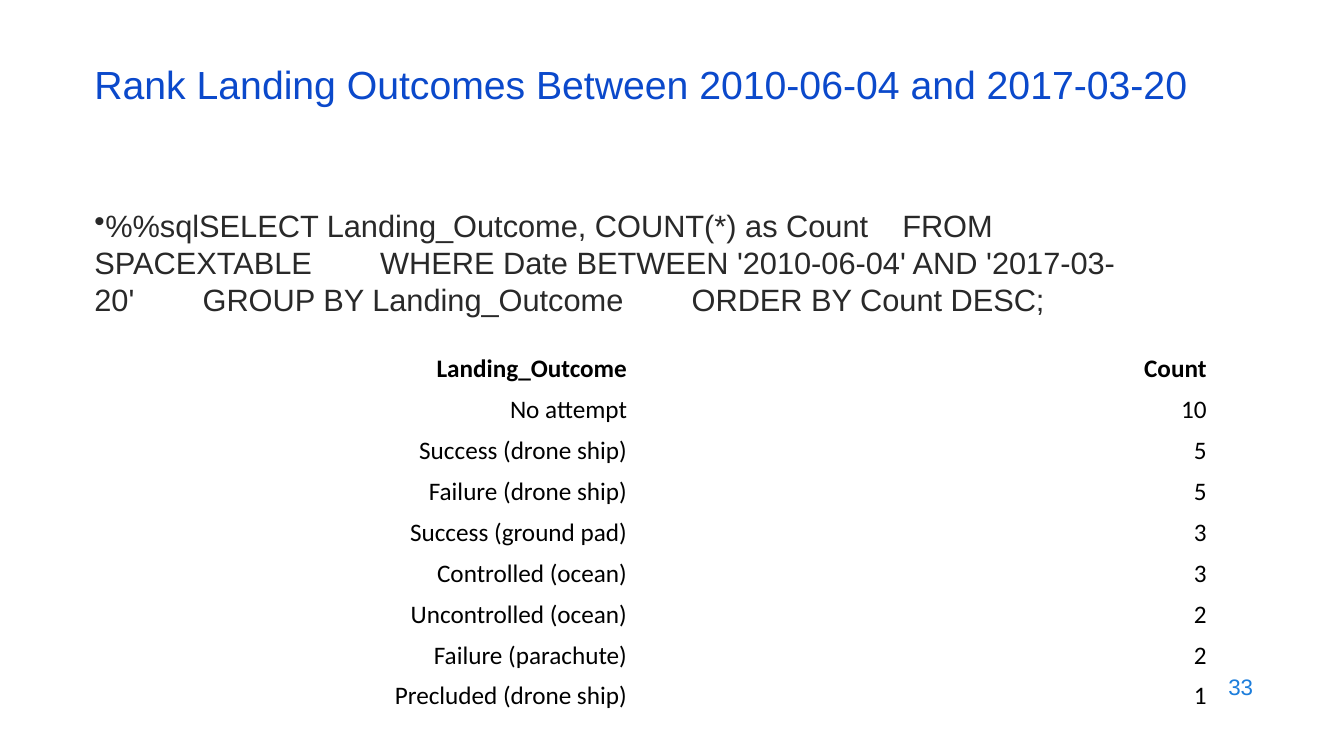
import pptx
import pptx.util
import pptx.dml.color
import pptx.enum.text
import lxml.etree

Cm = pptx.util.Cm
Pt = pptx.util.Pt
ALIGN = pptx.enum.text.PP_ALIGN
ANCHOR = pptx.enum.text.MSO_ANCHOR

TITLE = "Rank Landing Outcomes Between 2010-06-04 and 2017-03-20"
QUERY = (
    "%%sqlSELECT Landing_Outcome, COUNT(*) as Count    FROM SPACEXTABLE"
    "        WHERE Date BETWEEN '2010-06-04' AND '2017-03-20'"
    "        GROUP BY Landing_Outcome        ORDER BY Count DESC;"
)
OUTCOMES = [
    ("Landing_Outcome", "Count"),
    ("No attempt", "10"),
    ("Success (drone ship)", "5"),
    ("Failure (drone ship)", "5"),
    ("Success (ground pad)", "3"),
    ("Controlled (ocean)", "3"),
    ("Uncontrolled (ocean)", "2"),
    ("Failure (parachute)", "2"),
    ("Precluded (drone ship)", "1"),
]


def color(value):
    return pptx.dml.color.RGBColor.from_string(value)


def style_run(r, name, size, value, bold=False):
    r.font.name = name
    r.font.size = Pt(size)
    r.font.bold = bold
    r.font.color.rgb = color(value)


def add_text(slide, box, text, size, value, anchor=ANCHOR.MIDDLE):
    sp = slide.shapes.add_textbox(*(Cm(v) for v in box))
    tf = sp.text_frame
    tf.word_wrap = True
    tf.vertical_anchor = anchor
    tf.text = text
    p = tf.paragraphs[0]
    style_run(p.runs[0], "Arial", size, value)
    return p


def add_title(slide, box):
    p = add_text(slide, box, TITLE, 28, "0B49CB")
    p.line_spacing = 0.7


def add_query(slide, box):
    p = add_text(slide, box, QUERY, 22, "292929", ANCHOR.TOP)
    pPr = p._p.get_or_add_pPr()
    pPr.set("marL", "0")
    pPr.set("indent", "0")
    bullet = lxml.etree.SubElement(pPr, pptx.oxml.ns.qn("a:buChar"))
    bullet.set("char", "•")


def add_page_number(slide, box):
    p = add_text(slide, box, "33", 16, "1C7DDB")
    p.alignment = ALIGN.RIGHT


def add_outcomes(slide, box):
    left, top, width, height = (Cm(v) for v in box)
    rows, cols = len(OUTCOMES), len(OUTCOMES[0])
    table = slide.shapes.add_table(rows, cols, left, top, width, height).table
    for i, record in enumerate(OUTCOMES):
        for j, text in enumerate(record):
            cell = table.cell(i, j)
            cell.fill.solid()
            cell.fill.fore_color.rgb = color("FFFFFF")
            cell.vertical_anchor = ANCHOR.MIDDLE
            cell.text = text
            p = cell.text_frame.paragraphs[0]
            p.alignment = ALIGN.RIGHT
            style_run(p.runs[0], "Calibri", 18, "000000", bold=i == 0)
    table.horz_banding = False
    table.first_row = False


def main():
    prs = pptx.Presentation()
    prs.slide_width = Cm(33.87)
    prs.slide_height = Cm(19.05)
    slide = prs.slides.add_slide(prs.slide_layouts[6])
    add_page_number(slide, (24.21, 16.74, 7.62, 1.12))
    add_query(slide, (2.13, 5.08, 27.08, 12.09))
    add_title(slide, (2.13, 1.5, 29.21, 1.52))
    add_outcomes(slide, (1.45, 8.79, 29.21, 9.27))
    prs.save("out.pptx")


if __name__ == "__main__":
    main()
